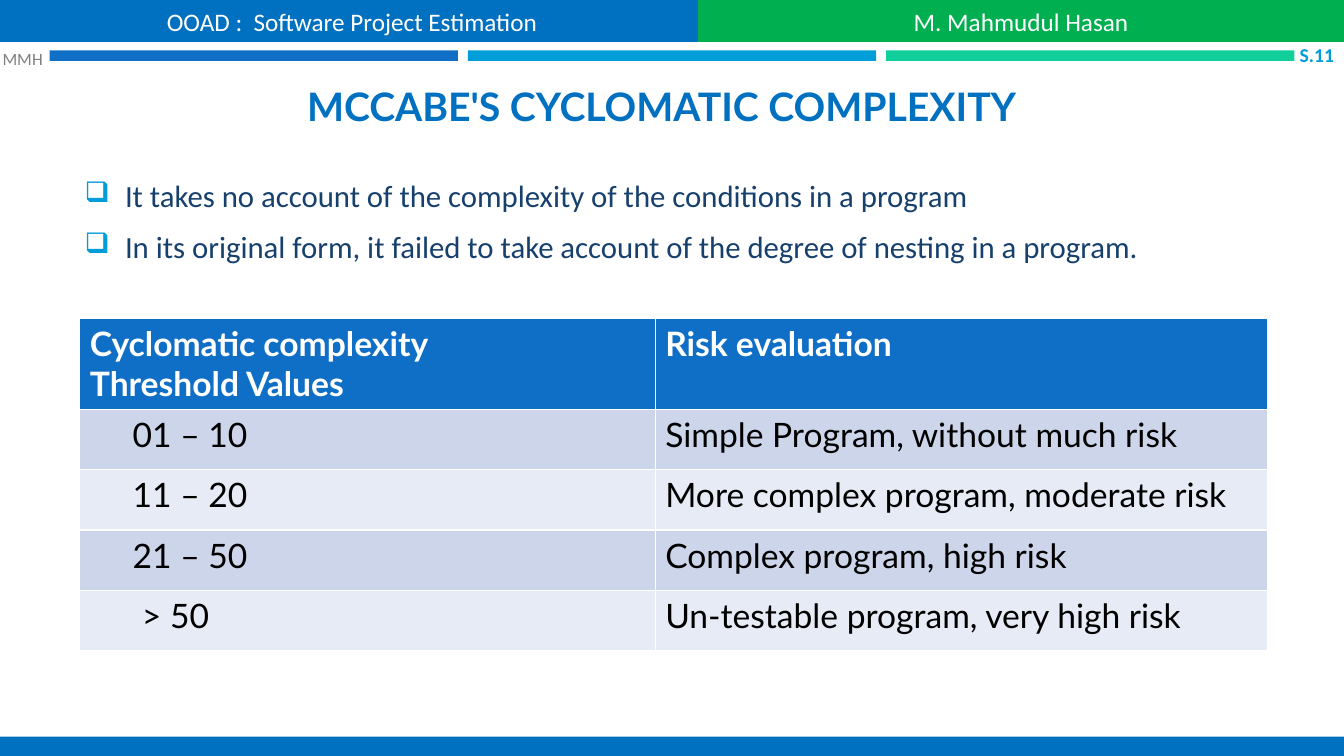
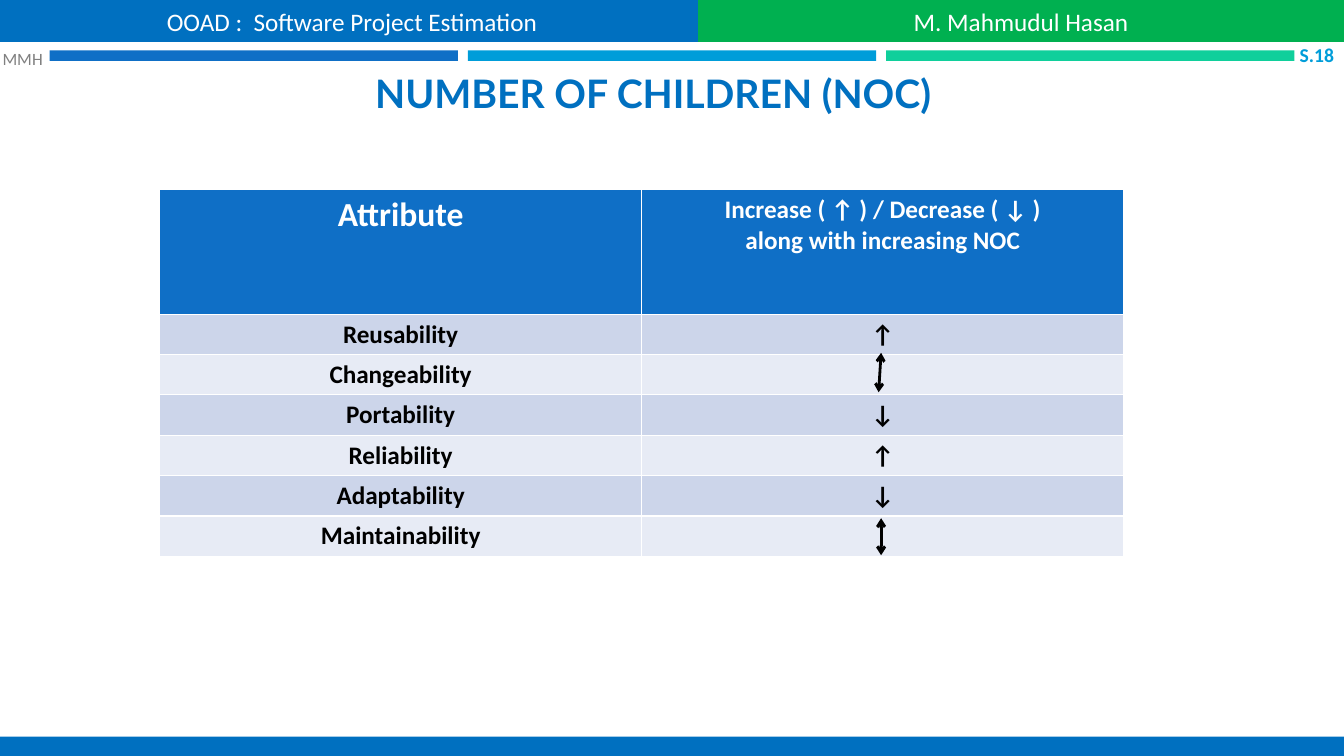
from lxml import etree
from pptx import Presentation
from pptx.enum.shapes import MSO_CONNECTOR, MSO_SHAPE
from pptx.enum.text import MSO_ANCHOR, MSO_AUTO_SIZE, PP_ALIGN
from pptx.dml.color import RGBColor
from pptx.oxml.ns import qn
from pptx.util import Emu, Inches, Pt

RECT = MSO_SHAPE.RECTANGLE
LINE = MSO_CONNECTOR.STRAIGHT
MID, LOW = MSO_ANCHOR.MIDDLE, MSO_ANCHOR.BOTTOM
LEFT, MAIN, RIGHT = PP_ALIGN.LEFT, PP_ALIGN.CENTER, PP_ALIGN.RIGHT

COLS, ROWS = 160, 90  # grid of square cells, twelve to the inch
UNIT = Inches(1) / 12
HUES = {
    "blue": "0070C0", "green": "00B050", "royal": "0F6FC6", "sky": "009DD9",
    "mint": "10CF9B", "navy": "17406D", "gray": "808080", "white": "FFFFFF",
    "black": "000000", "dark": "CCD5EA", "pale": "E7EBF5",
}
INK = {name: RGBColor.from_string(code) for name, code in HUES.items()}


def at(*cells):
    """Turn grid cells into lengths."""
    return [Emu(round(n * UNIT)) for n in cells]


def write(frame, text, size=18, hue="black", bold=False, align=LEFT,
          face="Calibri", anchor=None, bullet=None, after=0):
    """Fill a text frame, one paragraph for each line of text."""
    frame.word_wrap = True
    if anchor is not None:
        frame.vertical_anchor = anchor
    for i, line in enumerate(text.split("\n")):
        para = frame.add_paragraph() if i else frame.paragraphs[0]
        para.text = line
        para.alignment = align
        para.space_after = Pt(after)
        if bullet:
            props = para._p.get_or_add_pPr()
            dent = at(4.8)[0]
            props.set("marL", str(dent))
            props.set("indent", str(-dent))
            tint = etree.SubElement(props, qn("a:buClr"))
            etree.SubElement(tint, qn("a:srgbClr"), val=HUES["sky"])
            etree.SubElement(props, qn("a:buSzPct"), val="92000")
            etree.SubElement(props, qn("a:buChar"), char=bullet)
        font = para.font
        font.name, font.size, font.bold = face, Pt(size), bold
        font.color.rgb = INK[hue]


deck = Presentation()
deck.slide_width, deck.slide_height = at(COLS, ROWS)

# Bands and stripes on every slide: place, fill, text
BANDS = [((5.9 + 49.8 * i, 6, 48.6, 1.25), hue, "")
         for i, hue in enumerate(("royal", "sky", "mint"))]
BANDS += [
    ((0, 0, 83.8, 5), "blue", "OOAD :  Software Project Estimation"),
    ((83.1, 0, COLS - 83.1, 5), "green", "M. Mahmudul Hasan"),
    ((0, 87.7, COLS, ROWS - 87.7), "blue", ""),
]

# What differs: title and its place, page mark, table place, columns,
# row heights, table font, body weight, alignment, header sizes, cells
PAGES = [
    dict(title="MCCABE'S CYCLOMATIC COMPLEXITY", spot=(6.4, 7.3, 144.7, 8.65),
         mark="S.11", table=(9.5, 37.9), cols=(68.5, 72.9), rows=(10.1, 7.2),
         face="Lato", bold=False, align=LEFT, heads=(24, 24), size=24,
         cells=[("Cyclomatic complexity\nThreshold Values", "Risk evaluation"),
                ("01 – 10", "Simple Program, without much risk"),
                ("11 – 20", "More complex program, moderate risk"),
                ("21 – 50", "Complex program, high risk"),
                ("> 50", "Un-testable program, very high risk")]),
    dict(title="NUMBER OF CHILDREN (NOC)", spot=(5.4, 7.3, 144.7, 7.1),
         mark="S.18", table=(19, 22.6), cols=(57.4, 57.4), rows=(14.8, 4.6),
         face="Calibri", bold=True, align=MAIN, heads=(24, 18), size=18,
         cells=[("Attribute",
                 "Increase ( ↑ ) / Decrease ( ↓ )\nalong with increasing NOC"),
                ("Reusability", "↑"), ("Changeability", ""),
                ("Portability", "↓"), ("Reliability", "↑"),
                ("Adaptability", "↓"), ("Maintainability", "")]),
]

slides, grids = [], []
for page in PAGES:
    slide = deck.slides.add_slide(deck.slide_layouts[5])
    slides.append(slide)

    # Bands
    for place, hue, text in BANDS:
        band = slide.shapes.add_shape(RECT, *at(*place))
        band.shadow.inherit = False
        band.fill.solid()
        band.fill.fore_color.rgb = INK[hue]
        band.line.fill.background()
        if text:
            write(band.text_frame, text, hue="white", align=MAIN, anchor=MID)

    # Initials and page mark
    note = slide.shapes.add_textbox(*at(0, 5.2, 6.5, 3.6)).text_frame
    note.margin_left, note.margin_right = at(0.3, 0)
    write(note, "MMH", size=12.3, hue="gray", anchor=MID)
    note = slide.shapes.add_textbox(*at(152, 4.7, 8, 3.6)).text_frame
    write(note, page["mark"], size=14, hue="sky", bold=True, align=RIGHT,
          anchor=MID)

    # Title
    title = slide.shapes.title
    title.left, title.top, title.width, title.height = at(*page["spot"])
    title.text_frame.auto_size = MSO_AUTO_SIZE.NONE
    write(title.text_frame, page["title"], size=28, hue="blue", bold=True,
          align=MAIN, face="Lato", anchor=LOW)

    # Table
    cells, (head, row) = page["cells"], page["rows"]
    tall = head + row * (len(cells) - 1)
    place = at(*page["table"], sum(page["cols"]), tall)
    grid = slide.shapes.add_table(len(cells), 2, *place).table
    grids.append(grid)
    for col, wide in zip(grid.columns, at(*page["cols"])):
        col.width = wide
    for r, line in enumerate(cells):
        grid.rows[r].height = at(row if r else head)[0]
        for c, text in enumerate(line):
            cell = grid.cell(r, c)
            cell.fill.solid()
            fill = ("pale", "dark")[r % 2] if r else "royal"
            cell.fill.fore_color.rgb = INK[fill]
            write(cell.text_frame, text, align=page["align"],
                  face=page["face"], bold=page["bold"] or r == 0,
                  size=page["size"] if r else page["heads"][c],
                  hue="black" if r else "white")

# First slide: bullets and indented ranges
body = slides[0].shapes.add_textbox(*at(8.9, 20.5, 147, 13)).text_frame
write(body, "It takes no account of the complexity of the conditions in a "
      "program\nIn its original form, it failed to take account of the degree "
      "of nesting in a program.", size=22, hue="navy", bullet="❑", after=10)
for r, gap in enumerate((6.3, 6.3, 6.3, 7.4), 1):
    grids[0].cell(r, 0).margin_left = at(gap)[0]

# Second slide: two-way arrows in the empty cells
for ends in ((104.9, 42, 104.6, 46.7), (104.9, 61.7, 104.9, 66.1)):
    arrow = slides[1].shapes.add_connector(LINE, *at(*ends))
    arrow.line.color.rgb = INK["black"]
    arrow.line.width = Pt(2)
    stroke = arrow.line._get_or_add_ln()
    for tip in ("a:headEnd", "a:tailEnd"):
        etree.SubElement(stroke, qn(tip), type="arrow")
    etree.SubElement(arrow._element.spPr, qn("a:effectLst"))

deck.save("out.pptx")
